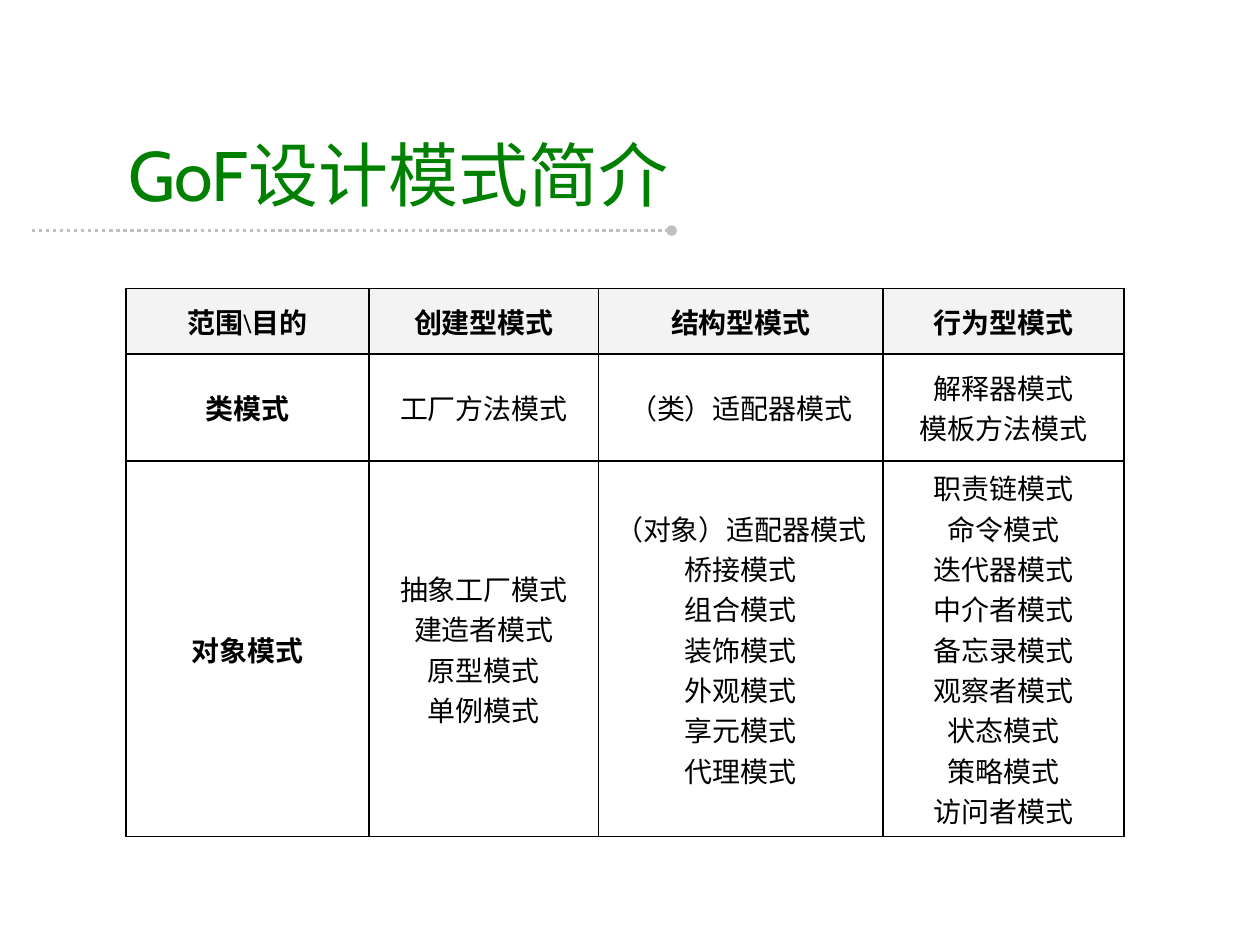
from lxml.etree import SubElement
from pptx import Presentation
from pptx.dml.color import RGBColor
from pptx.enum.dml import MSO_LINE as Dash
from pptx.enum.shapes import MSO_CONNECTOR as Link
from pptx.enum.text import MSO_ANCHOR as Anchor, PP_ALIGN as Align
from pptx.oxml.ns import qn
from pptx.util import Inches, Pt

TITLE = "GoF设计模式简介"
ROWS = [
    ["范围\\目的", "创建型模式", "结构型模式", "行为型模式"],
    ["类模式", "工厂方法模式", "（类）适配器模式", "解释器模式 模板方法模式"],
    ["对象模式",
     "抽象工厂模式 建造者模式 原型模式 单例模式",
     "（对象）适配器模式 桥接模式 组合模式 装饰模式 外观模式 享元模式 代理模式",
     "职责链模式 命令模式 迭代器模式 中介者模式 备忘录模式 "
     "观察者模式 状态模式 策略模式 访问者模式"],
]
WIDTHS = [1.93, 1.82, 2.26, 1.91]
HEIGHTS = [0.52, 0.85, 2.98]
INDENT = Inches(0.38)

GREEN = RGBColor(0x00, 0x80, 0x00)
SILVER = RGBColor(0xC0, 0xC0, 0xC0)
PALE = RGBColor(0xF3, 0xF3, 0xF3)
BLACK = RGBColor(0, 0, 0)


def write(para, text, face, size, color, bold=False):
    run = para.add_run()
    run.text = text
    font = run.font
    font.name, font.size, font.bold = face, Pt(size), bold
    font.color.rgb = color


def add_rule(slide):
    y = Inches(1.83)
    rule = slide.shapes.add_connector(Link.STRAIGHT, Inches(0.25), y, Inches(5.33), y)
    rule.line.color.rgb = SILVER
    rule.line.width = Pt(2)
    rule.line.dash_style = Dash.ROUND_DOT
    SubElement(rule.line._get_or_add_ln(), qn("a:tailEnd"), type="oval")
    SubElement(rule._element.spPr, qn("a:effectLst"))


def add_title(slide):
    box = slide.shapes.add_textbox(Inches(0.92), Inches(1), Inches(5), Inches(0.75))
    frame = box.text_frame
    frame.word_wrap = True
    frame.vertical_anchor = Anchor.MIDDLE
    write(frame.paragraphs[0], TITLE, "Cabin", 40, GREEN)


def add_border(cell):
    props = cell._tc.get_or_add_tcPr()
    for side in ("lnL", "lnR", "lnT", "lnB"):
        edge = SubElement(props, qn("a:" + side), w=str(Pt(1)))
        fill = SubElement(edge, qn("a:solidFill"))
        SubElement(fill, qn("a:srgbClr"), val=str(BLACK))


def fill_cell(cell, text, head, bold):
    cell.vertical_anchor = Anchor.MIDDLE
    add_border(cell)
    if head:
        cell.fill.solid()
        cell.fill.fore_color.rgb = PALE
    else:
        cell.fill.background()
    frame = cell.text_frame
    for i, name in enumerate(text.split()):
        para = frame.add_paragraph() if i else frame.paragraphs[0]
        para.alignment = Align.CENTER
        props = para._p.get_or_add_pPr()
        props.set("marL", str(INDENT))
        props.set("indent", str(-INDENT))
        write(para, name, "Times New Roman", 16, BLACK, bold)


def add_grid(slide):
    grid = slide.shapes.add_table(
        len(ROWS), len(WIDTHS), Inches(1), Inches(2.29),
        Inches(sum(WIDTHS)), Inches(sum(HEIGHTS))).table
    for col, width in zip(grid.columns, WIDTHS):
        col.width = Inches(width)
    for r, (row, height) in enumerate(zip(ROWS, HEIGHTS)):
        grid.rows[r].height = Inches(height)
        for c, text in enumerate(row):
            fill_cell(grid.cell(r, c), text, r == 0, r == 0 or c == 0)


def main():
    deck = Presentation()
    deck.slide_width, deck.slide_height = Inches(10), Inches(7.5)
    slide = deck.slides.add_slide(deck.slide_layouts[6])
    add_rule(slide)
    add_title(slide)
    add_grid(slide)
    deck.save("out.pptx")


if __name__ == "__main__":
    main()
